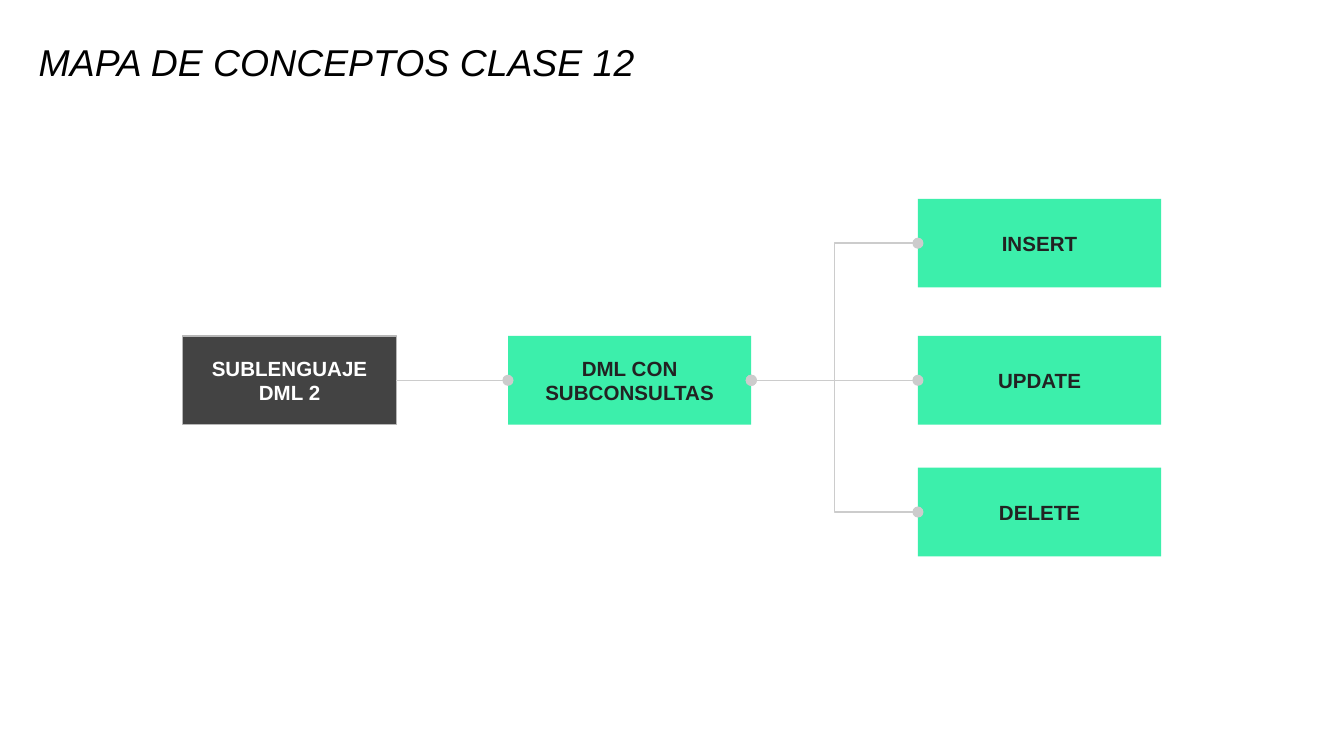
from lxml import etree
from pptx import Presentation
from pptx.dml.color import RGBColor
from pptx.enum.shapes import MSO_CONNECTOR, MSO_SHAPE
from pptx.enum.text import MSO_ANCHOR, PP_ALIGN
from pptx.oxml.ns import qn
from pptx.util import Inches, Pt

GREEN, DARK, INK, GREY = "3CEFAB", "434343", "222222", "CCCCCC"
BOX_H, ROW_Y = 0.66, 2.5


def rgb(value):
    return RGBColor.from_string(value)


prs = Presentation()
prs.slide_width = Inches(10)
prs.slide_height = Inches(10 * 9 / 16)
s = prs.slides.add_slide(prs.slide_layouts[6])

# Title
tf = s.shapes.add_textbox(Inches(0.19), Inches(0.22), Inches(8.26), Inches(0.46)).text_frame
tf.word_wrap = True
tf.vertical_anchor = MSO_ANCHOR.BOTTOM
p = tf.paragraphs[0]
p.line_spacing = 0.9
r = p.add_run()
r.text = "MAPA DE CONCEPTOS CLASE 12"
r.font.name, r.font.size, r.font.italic = "Arial", Pt(20), True
r.font.color.rgb = rgb("000000")

# Concept boxes: text, left, top, width, fill, text colour, outline
boxes = {}
for text, x, y, w, fill, color, outline in (
    ("SUBLENGUAJE DML 2", 1.36, ROW_Y, 1.59, DARK, "FFFFFF", "B7B7B7"),
    ("DML CON SUBCONSULTAS", 3.78, ROW_Y, 1.81, GREEN, INK, None),
    ("DELETE", 6.83, 3.48, 1.81, GREEN, INK, None),
    ("INSERT", 6.83, 1.48, 1.81, GREEN, INK, None),
    ("UPDATE", 6.83, ROW_Y, 1.81, GREEN, INK, None),
):
    sp = s.shapes.add_shape(MSO_SHAPE.RECTANGLE, Inches(x), Inches(y), Inches(w), Inches(BOX_H))
    sp.shadow.inherit = False
    sp.fill.solid()
    sp.fill.fore_color.rgb = rgb(fill)
    if outline:
        sp.line.color.rgb = rgb(outline)
        sp.line.width = Pt(0.75)
    else:
        sp.line.fill.background()
    tf = sp.text_frame
    tf.word_wrap = True
    tf.vertical_anchor = MSO_ANCHOR.MIDDLE
    tf.margin_left = tf.margin_right = tf.margin_top = tf.margin_bottom = Inches(0.1)
    p = tf.paragraphs[0]
    p.alignment = PP_ALIGN.CENTER
    r = p.add_run()
    r.text = text
    r.font.name, r.font.size, r.font.bold = "Arial", Pt(11), True
    r.font.color.rgb = rgb(color)
    boxes[text] = sp

# Links from right side to left side, with oval ends
root, topic = "SUBLENGUAJE DML 2", "DML CON SUBCONSULTAS"
for start, end, ends in (
    (root, topic, ("tailEnd",)),
    (topic, "INSERT", ("headEnd", "tailEnd")),
    (topic, "UPDATE", ("headEnd", "tailEnd")),
    (topic, "DELETE", ("headEnd", "tailEnd")),
):
    a, b = boxes[start], boxes[end]
    link = s.shapes.add_connector(MSO_CONNECTOR.ELBOW,
                                  a.left + a.width, a.top + a.height // 2,
                                  b.left, b.top + b.height // 2)
    link.begin_connect(a, 3)
    link.end_connect(b, 1)
    link.line.color.rgb = rgb(GREY)
    link.line.width = Pt(0.75)
    ln = link.line._get_or_add_ln()
    for tag in ends:
        etree.SubElement(ln, qn(f"a:{tag}"), type="oval")
    etree.SubElement(link._element.spPr, qn("a:effectLst"))

prs.save("out.pptx")
